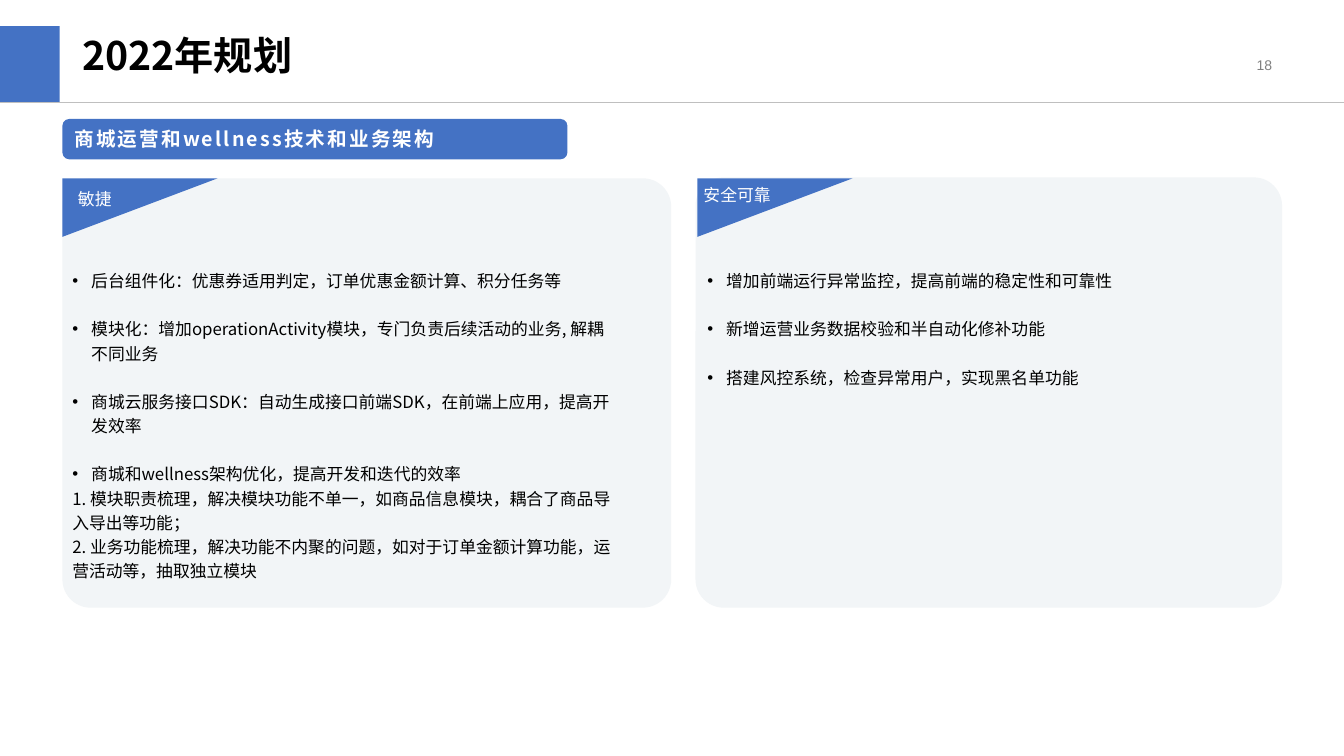
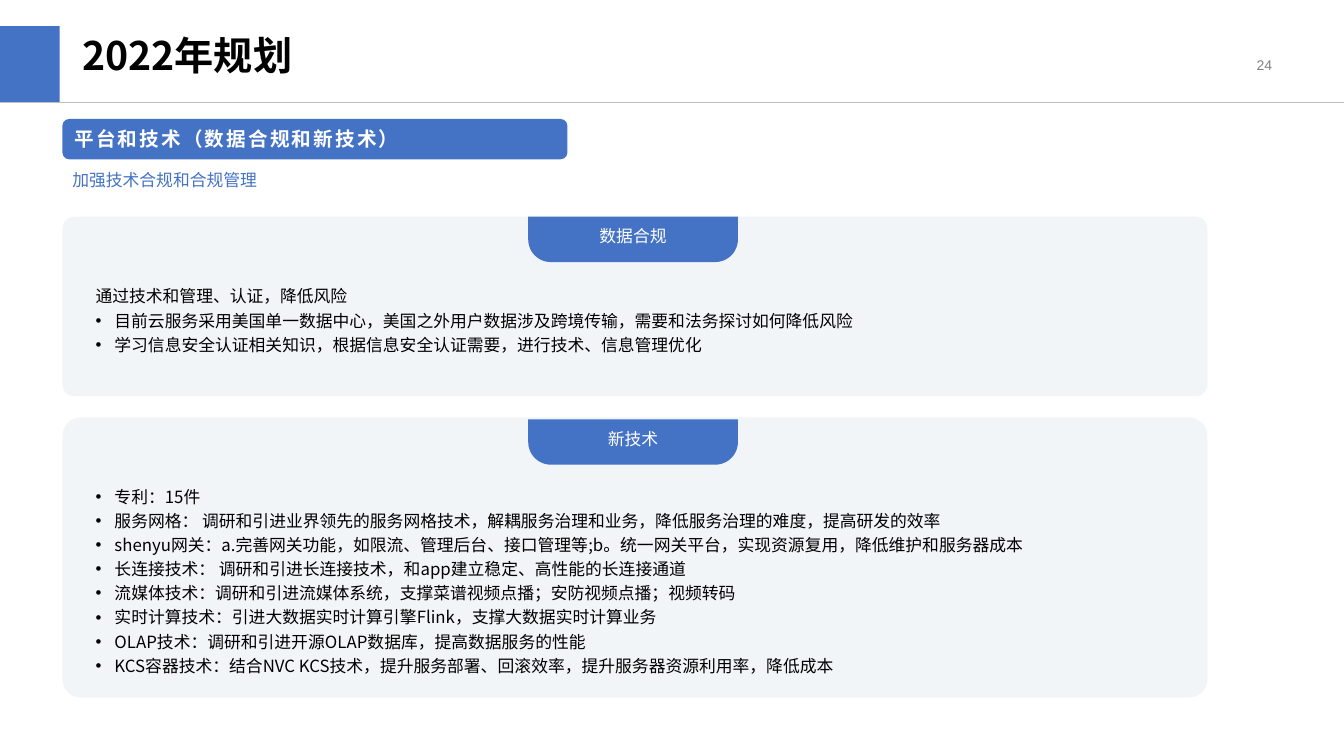
import pptx
import pptx.util
import pptx.dml.color
import pptx.enum.shapes
import pptx.enum.text
import pptx.oxml.ns
import lxml.etree

Pt = pptx.util.Pt
SHAPE = pptx.enum.shapes.MSO_SHAPE
ALIGN = pptx.enum.text.PP_ALIGN
MIDDLE = pptx.enum.text.MSO_ANCHOR.MIDDLE

BLUE, PALE, RULE, GREY = "4472C4", "F2F5F7", "BFBFBF", "808080"
BLACK, WHITE = "000000", "FFFFFF"
CJK, LATIN = "Noto Sans CJK SC", "Arial"
SLIDE_W, SLIDE_H = 960, 540
MARGIN = 44.6
BODY_LINE = 17.25
BULLET_INDENT = 13.5
TITLE = "2022年规划"

# Each body line is (bulleted, text)
AGILE = [
    (True, "后台组件化：优惠券适用判定，订单优惠金额计算、积分任务等"),
    (True, "模块化：增加operationActivity模块，专门负责后续活动的业务, 解耦不同业务"),
    (True, "商城云服务接口SDK：自动生成接口前端SDK，在前端上应用，提高开发效率"),
    (True, "商城和wellness架构优化，提高开发和迭代的效率"),
    (False, "1. 模块职责梳理，解决模块功能不单一，如商品信息模块，耦合了商品导入导出等功能；"),
    (False, "2. 业务功能梳理，解决功能不内聚的问题，如对于订单金额计算功能，运营活动等，抽取独立模块"),
]
RELIABLE = [
    (True, "增加前端运行异常监控，提高前端的稳定性和可靠性"),
    (True, "新增运营业务数据校验和半自动化修补功能"),
    (True, "搭建风控系统，检查异常用户，实现黑名单功能"),
]
COMPLIANCE = [
    (False, "通过技术和管理、认证，降低风险"),
    (True, "目前云服务采用美国单一数据中心，美国之外用户数据涉及跨境传输，需要和法务探讨如何降低风险"),
    (True, "学习信息安全认证相关知识，根据信息安全认证需要，进行技术、信息管理优化"),
]
NEW_TECH = [
    (True, "专利：15件"),
    (True, "服务网格： 调研和引进业界领先的服务网格技术，解耦服务治理和业务，降低服务治理的难度，提高研发的效率"),
    (True, "shenyu网关：a.完善网关功能，如限流、管理后台、接口管理等;b。统一网关平台，实现资源复用，降低维护和服务器成本"),
    (True, "长连接技术： 调研和引进长连接技术，和app建立稳定、高性能的长连接通道"),
    (True, "流媒体技术：调研和引进流媒体系统，支撑菜谱视频点播；安防视频点播；视频转码"),
    (True, "实时计算技术：引进大数据实时计算引擎Flink，支撑大数据实时计算业务"),
    (True, "OLAP技术：调研和引进开源OLAP数据库，提高数据服务的性能"),
    (True, "KCS容器技术：结合NVC KCS技术，提升服务部署、回滚效率，提升服务器资源利用率，降低成本"),
]

# Boxes are (left, top, width, height) in points
CORNER_CARDS = [
    dict(label="敏捷", label_at=(48.6, 131.5, 60, 21.6), lines=AGILE, gaps_after=3,
         card=(MARGIN, 127.4, 434.9, 306.7), flag_left=MARGIN, body=(MARGIN, 187, 402.5, 233)),
    dict(label="安全可靠", label_at=(495.4, 128.6, 90, 21.6), lines=RELIABLE, gaps_after=2,
         card=(496.8, 126.7, 419, 307.4), flag_left=498.2, body=(498.2, 187, 404, 94)),
]
TAB_CARDS = [
    dict(label="数据合规", lines=COMPLIANCE, card=(MARGIN, 154.8, 817.9, 128.2),
         tab_top=154.8, body=(61.2, 198, 782.6, 58)),
    dict(label="新技术", lines=NEW_TECH, card=(MARGIN, 298.1, 817.9, 200.2),
         tab_top=299.5, body=(61.2, 341, 714.2, 147)),
]


def rgb(value):
    return pptx.dml.color.RGBColor.from_string(value)


def add_child(parent, tag, **attributes):
    child = lxml.etree.SubElement(parent, pptx.oxml.ns.qn(tag))
    for name, value in attributes.items():
        child.set(name, value)


def add_block(slide, kind, box, fill, adjustments=()):
    block = slide.shapes.add_shape(kind, *map(Pt, box))
    block.shadow.inherit = False
    block.fill.solid()
    block.fill.fore_color.rgb = rgb(fill)
    block.line.fill.background()
    for index, value in enumerate(adjustments):
        block.adjustments[index] = value
    return block


def write(paragraph, text, size, color, font=CJK, bold=False, align=ALIGN.LEFT):
    paragraph.alignment = align
    run = paragraph.add_run()
    run.text = text
    run.font.size = Pt(size)
    run.font.bold = bold
    run.font.color.rgb = rgb(color)
    run.font.name = font
    add_child(run.font._element, "a:ea", typeface=font)
    return run


def add_text_frame(slide, box):
    frame = slide.shapes.add_textbox(*map(Pt, box)).text_frame
    frame.word_wrap = True
    return frame


def add_body(slide, box, lines, gaps_after=0):
    """Write the lines; the first gaps_after of them are followed by a line of space."""
    frame = add_text_frame(slide, box)
    for index, (bulleted, text) in enumerate(lines):
        paragraph = frame.add_paragraph() if index else frame.paragraphs[0]
        if bulleted:
            properties = paragraph._p.get_or_add_pPr()
            properties.set("marL", str(Pt(BULLET_INDENT)))
            properties.set("indent", str(-Pt(BULLET_INDENT)))
            add_child(properties, "a:buFont", typeface=LATIN)
            add_child(properties, "a:buChar", char="•")
        paragraph.line_spacing = Pt(BODY_LINE)
        if index < gaps_after:
            paragraph.space_after = Pt(BODY_LINE)
        write(paragraph, text, 12, BLACK)


def add_plan_slide(deck, number, section):
    """Add a slide with the shared title, header rule, page number and section band."""
    slide = deck.slides.add_slide(deck.slide_layouts[6])
    rule = slide.shapes.add_connector(
        pptx.enum.shapes.MSO_CONNECTOR.STRAIGHT, 0, Pt(72.9), Pt(SLIDE_W), Pt(72.9))
    rule.line.color.rgb = rgb(RULE)
    rule.line.width = Pt(0.5)
    add_child(rule._element.spPr, "a:effectLst")
    add_block(slide, SHAPE.RECTANGLE, (0, 18.7, 42.6, 54), BLUE)

    title = add_text_frame(slide, (51.8, 22.3, 571.7, 44)).paragraphs[0]
    title.line_spacing = 0.9
    write(title, TITLE, 28, BLACK, bold=True)

    page = add_text_frame(slide, (699.8, 31.7, 216, 28.8))
    page.vertical_anchor = MIDDLE
    write(page.paragraphs[0], str(number), 10, GREY, LATIN, align=ALIGN.RIGHT)

    band = add_block(slide, SHAPE.ROUNDED_RECTANGLE, (MARGIN, 85, 360.7, 28.8), BLUE).text_frame
    band.vertical_anchor = MIDDLE
    heading = write(band.paragraphs[0], section, 14, WHITE, bold=True)
    heading.font._element.set("spc", "150")
    return slide


def add_card(slide, card):
    add_block(slide, SHAPE.ROUNDED_RECTANGLE, card["card"], PALE, [0.066])
    add_body(slide, card["body"], card["lines"], card.get("gaps_after", 0))


def add_corner_card(slide, card):
    add_card(slide, card)
    flag = add_block(slide, SHAPE.RIGHT_TRIANGLE, (card["flag_left"], 127.4, 110.9, 41.8), BLUE)
    flag._element.spPr.xfrm.set("flipV", "1")
    label = add_text_frame(slide, card["label_at"])
    write(label.paragraphs[0], card["label"], 12, WHITE, LATIN)


def add_tab_card(slide, card):
    add_card(slide, card)
    tab = add_block(slide, SHAPE.ROUND_2_SAME_RECTANGLE,
                    (377.3, card["tab_top"], 149.8, 32.4), BLUE, [0, 0.5]).text_frame
    tab.vertical_anchor = MIDDLE
    write(tab.paragraphs[0], card["label"], 12, WHITE, LATIN, align=ALIGN.CENTER)


def main():
    deck = pptx.Presentation()
    deck.slide_width, deck.slide_height = Pt(SLIDE_W), Pt(SLIDE_H)

    architecture = add_plan_slide(deck, 18, "商城运营和wellness技术和业务架构")
    for card in CORNER_CARDS:
        add_corner_card(architecture, card)

    platform = add_plan_slide(deck, 24, "平台和技术（数据合规和新技术）")
    for card in TAB_CARDS:
        add_tab_card(platform, card)
    goal = add_text_frame(platform, (MARGIN, 117.7, 600.5, 24))
    write(goal.paragraphs[0], "加强技术合规和合规管理", 12, BLUE)

    deck.save("out.pptx")


if __name__ == "__main__":
    main()
